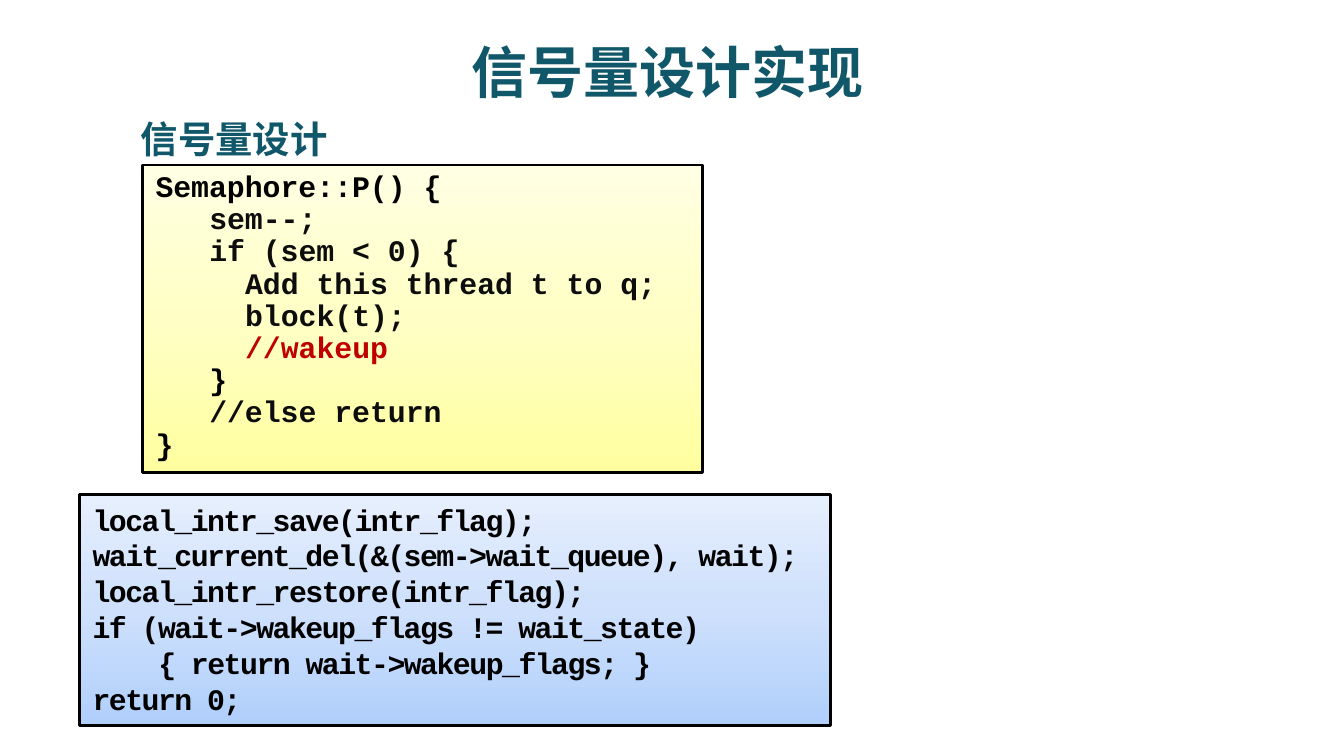
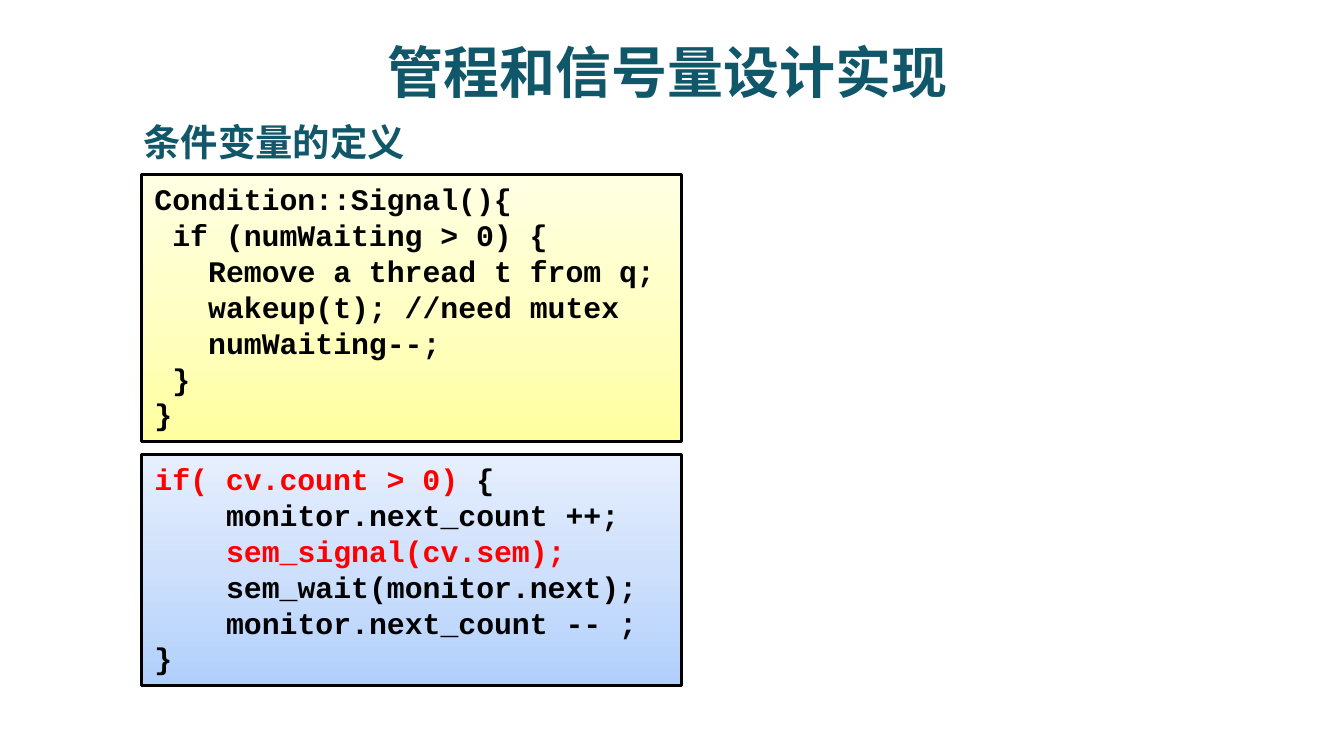
import copy
import pptx
import pptx.dml.color
import pptx.enum.shapes
import pptx.enum.text
import pptx.oxml.ns
import pptx.util
from pptx.util import Cm

# Shared style
TEAL, BLACK, INK = "11576A", "000000", "0D0D0D"
RED, WINE = "FF0000", "C00000"
YELLOW = ("FFFFA0", "FFFFC5", "FFFFE3")
BLUE = ("B0CFFB", "CEE0FC", "E6EFFD")
HAN, MONO = "Noto Sans CJK SC", "Courier New"
SIZE = 16
PITCH = 0.6  # width of a code letter, as a share of its size


def color(code):
    return pptx.dml.color.RGBColor.from_string(code)


class Deck:
    def __init__(self):
        self.file = pptx.Presentation()
        self.file.slide_width = Cm(25.4)
        self.file.slide_height = Cm(14.29)
        self.slide = None

    def page(self, title):
        self.slide = self.file.slides.add_slide(self.file.slide_layouts[6])
        frame = self.label(title, (1.19, 0.64, 22.86, 1.42), 30, HAN)
        frame.paragraphs[0].alignment = pptx.enum.text.PP_ALIGN.CENTER

    def run(self, para, text, size, face, tint, track=0):
        run = para.add_run()
        run.text = text
        font = run.font
        font.size, font.name, font.bold = pptx.util.Pt(size), face, True
        font.color.rgb = color(tint)
        props = run._r.get_or_add_rPr()
        if track:
            props.set("spc", str(round(track * 100)))
        # East Asian face follows the Latin one
        east = props.makeelement(pptx.oxml.ns.qn("a:ea"), {})
        east.set("typeface", HAN if face == "Arial" else face)
        props.find(pptx.oxml.ns.qn("a:latin")).addnext(east)

    def label(self, text, area, size, face):
        box = self.slide.shapes.add_textbox(*map(Cm, area))
        frame = box.text_frame
        frame.word_wrap = True
        frame.vertical_anchor = pptx.enum.text.MSO_ANCHOR.MIDDLE
        self.run(frame.paragraphs[0], text, size, face, TEAL)
        return frame

    def head(self, text, area, face):
        frame = self.label(text, area, 20, face)
        frame.word_wrap = False
        frame.auto_size = pptx.enum.text.MSO_AUTO_SIZE.SHAPE_TO_FIT_TEXT

    def shade(self, fill, tints):
        fill.gradient()
        fill.gradient_angle = 90
        first = fill.gradient_stops[0]._gs
        first.addnext(copy.deepcopy(first))
        for i, (stop, tint) in enumerate(zip(fill.gradient_stops, tints)):
            stop.color.rgb = color(tint)
            stop.position = i / 2

    def code(self, area, tints, lines, space=None, track=0):
        """Each line is a list of (text, colour); leading blanks set the indent."""
        rect = pptx.enum.shapes.MSO_SHAPE.RECTANGLE
        box = self.slide.shapes.add_shape(rect, *map(Cm, area))
        box.shadow.inherit = False
        self.shade(box.fill, tints)
        box.line.color.rgb = color(BLACK)
        box.line.width = pptx.util.Pt(1.5)
        frame = box.text_frame
        frame.word_wrap = True
        frame.auto_size = pptx.enum.text.MSO_AUTO_SIZE.SHAPE_TO_FIT_TEXT
        frame.vertical_anchor = pptx.enum.text.MSO_ANCHOR.TOP
        for i, line in enumerate(lines):
            para = frame.add_paragraph() if i else frame.paragraphs[0]
            para.alignment = pptx.enum.text.PP_ALIGN.LEFT
            if space:
                para.line_spacing = space
            first = line[0][0]
            depth = len(first) - len(first.lstrip())
            left = pptx.util.Pt(depth * (SIZE * PITCH + track))
            props = para._p.get_or_add_pPr()
            props.set("marL", str(int(left)))
            props.set("indent", "0")
            for j, (text, tint) in enumerate(line):
                text = text if j else text.lstrip()
                self.run(para, text, SIZE, MONO, tint, track)


def plain(text, tint=BLACK):
    return [[(line, tint)] for line in text.split("\n")]


deck = Deck()

# Slide 1: semaphore
deck.page("信号量设计实现")
deck.code((1.5, 9.35, 14.2, 4.37), BLUE, plain(
    "local_intr_save(intr_flag);\n"
    "wait_current_del(&(sem->wait_queue), wait);\n"
    "local_intr_restore(intr_flag);\n"
    "if (wait->wakeup_flags != wait_state)\n"
    "    { return wait->wakeup_flags; }\n"
    "return 0;"), track=-0.8)
deck.code((2.69, 3.12, 10.59, 5.82), YELLOW, [
    [("Semaphore::P() {", BLACK)],
    *plain("   sem--;\n"
           "   if (sem < 0) {\n"
           "     Add this thread t to q;\n"
           "     block(t);", INK),
    [("     //wakeup", WINE)],
    [("   }", BLACK)],
    [("   //else return", INK)],
    [("}", BLACK)],
], space=0.9)
deck.head("信号量设计", (2.41, 2.06, 4.06, 1.12), "Noto Sans CJK JP")

# Slide 2: monitor
deck.page("管程和信号量设计实现")
deck.code((2.67, 3.3, 10.21, 5.05), YELLOW, plain(
    "Condition::Signal(){\n"
    " if (numWaiting > 0) {\n"
    "   Remove a thread t from q;\n"
    "   wakeup(t); //need mutex\n"
    "   numWaiting--;\n"
    " }\n"
    "}"))
deck.code((2.67, 8.59, 10.21, 4.37), BLUE, [
    [("if( cv.count > 0) ", RED), ("{", BLACK)],
    [("    monitor.next_count ++;", BLACK)],
    [("    sem_signal(cv.sem);", RED)],
    *plain("    sem_wait(monitor.next);\n"
           "    monitor.next_count -- ;\n"
           "}"),
])
deck.head("条件变量的定义", (2.46, 2.11, 5.51, 1.12), "Arial")

deck.file.save("out.pptx")
